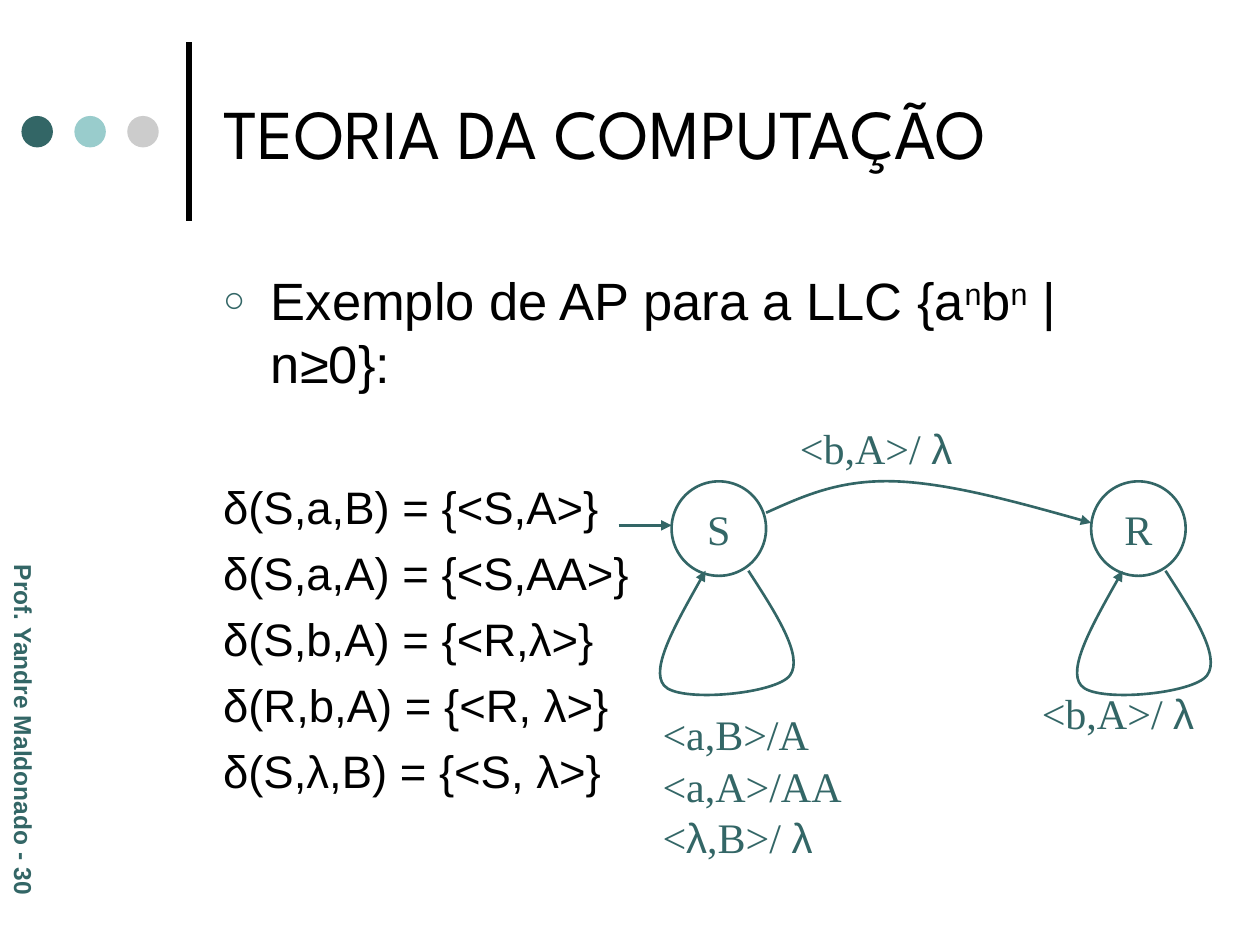
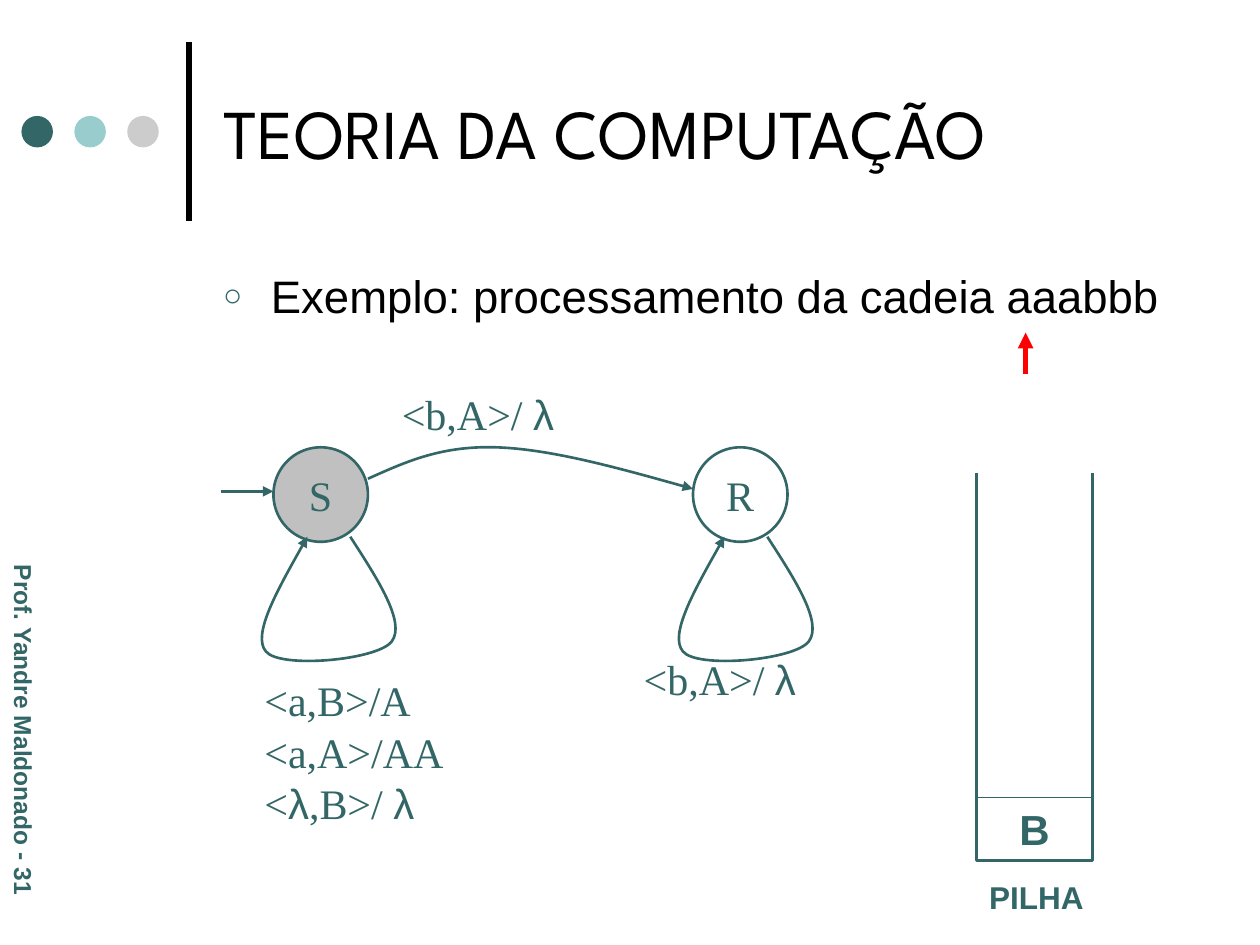
import dataclasses

import lxml.etree
import pptx
import pptx.dml.color
import pptx.enum.shapes
import pptx.enum.text
import pptx.oxml.ns
import pptx.util

Inches = pptx.util.Inches
Pt = pptx.util.Pt
ALIGN = pptx.enum.text.PP_ALIGN
ANCHOR = pptx.enum.text.MSO_ANCHOR
SHAPE = pptx.enum.shapes.MSO_SHAPE

TEAL, AQUA, GRAY, SILVER = "336666", "99CCCC", "CCCCCC", "C0C0C0"
BLACK, RED = "000000", "FF0000"
TITLE = "TEORIA DA COMPUTAÇÃO"
AUTHOR = "Prof. Yandre Maldonado"


@dataclasses.dataclass(frozen=True)
class Style:
    font: str
    size: float
    color: str
    bold: bool = False


@dataclasses.dataclass(frozen=True)
class Label:
    x: float
    y: float
    high: float
    lines: tuple[tuple[str, ...], ...]


@dataclasses.dataclass(frozen=True)
class Item:
    texts: tuple[str, ...]
    size: float
    before: float
    dot: bool = False


HEAD = Style("League Spartan", 40, BLACK)
STATE = Style("Times New Roman", 24, TEAL)
FOOT = Style("Arial", 14, TEAL, True)
CELL = Style("Arial", 24, TEAL, True)
STACK = Style("Arial", 18, TEAL, True)

POP = ("<b,A>/ ", "λ")
LABELS = (
    Label(-0.17, 1.93, 1.12, (("<a,B>/A",), ("<a,A>/AA",), ("<", "λ", ",B>/ ", "λ"))),
    Label(0.92, -0.34, 0.3, (POP,)),
    Label(2.84, 1.76, 0.3, (POP,)),
)
EDGE = ((0.75, 0.25), (1.04, 0.12), (1.32, -0.01), (1.75, 0),
        (2.18, 0.01), (2.76, 0.17), (3.33, 0.33))
LOOP = ((0.61, 0.71), (0.83, 1.05), (1.05, 1.39), (0.94, 1.54),
        (0.83, 1.69), (0.05, 1.76), (-0.06, 1.62),
        (-0.17, 1.49), (0.05, 1.1), (0.27, 0.71))
STEP = 3.33

RULES = ("δ(S,a,B) = {<S,A>}", "δ(S,a,A) = {<S,AA>}", "δ(S,b,A) = {<R,λ>}",
         "δ(R,b,A) = {<R, λ>}", "δ(S,λ,B) = {<S, λ>}")
GRAMMAR = (
    Item(("Exemplo de AP para a LLC {a", "n", "b", "n", " | n≥0}:"), 30, 7.5, True),
    *(Item((rule,), 26, 6.5 if i else 48.5) for i, rule in enumerate(RULES)),
)
INPUT = (Item(("Exemplo: processamento da cadeia aaabbb",), 26, 6.5, True),)


def rgb(code: str) -> pptx.dml.color.RGBColor:
    return pptx.dml.color.RGBColor.from_string(code)


def node(parent, tag: str, **attrs: str):
    return lxml.etree.SubElement(parent, pptx.oxml.ns.qn(tag), attrs)


def write(par, texts: tuple[str, ...], style: Style) -> list:
    par.text = texts[0]
    for text in texts[1:]:
        par.add_run().text = text
    for run in par.runs:
        run.font.name = style.font
        run.font.size = Pt(style.size)
        run.font.bold = style.bold
        run.font.color.rgb = rgb(style.color)
    return par.runs[1::2]


def place(shape, x: float, y: float, wide: float, high: float) -> None:
    shape.left, shape.top = Inches(x), Inches(y)
    shape.width, shape.height = Inches(wide), Inches(high)


def stroke(shape, color: str, width: float, arrow: bool = False) -> None:
    shape.line.color.rgb = rgb(color)
    shape.line.width = Pt(width)
    if arrow:
        node(shape.line._get_or_add_ln(), "a:tailEnd", type="triangle")


def add_line(slide, x1: float, y1: float, x2: float, y2: float,
             color: str, width: float, arrow: bool = False) -> None:
    line = slide.shapes.add_connector(
        pptx.enum.shapes.MSO_CONNECTOR.STRAIGHT,
        Inches(x1), Inches(y1), Inches(x2), Inches(y2))
    stroke(line, color, width, arrow)
    node(line._element.spPr, "a:effectLst")


def add_form(slide, kind, x: float, y: float, wide: float, high: float, fill: str = ""):
    form = slide.shapes.add_shape(kind, Inches(x), Inches(y), Inches(wide), Inches(high))
    form.shadow.inherit = False
    if fill:
        form.fill.solid()
        form.fill.fore_color.rgb = rgb(fill)
    else:
        form.fill.background()
    form.line.fill.background()
    return form


def caption(form, text: str, style: Style) -> None:
    frame = form.text_frame
    frame.margin_left = frame.margin_right = 0
    frame.vertical_anchor = ANCHOR.MIDDLE
    write(frame.paragraphs[0], (text,), style)
    frame.paragraphs[0].alignment = ALIGN.CENTER


def add_box(slide, x: float, y: float, wide: float, high: float):
    box = slide.shapes.add_textbox(Inches(x), Inches(y), Inches(wide), Inches(high))
    box.text_frame.word_wrap = True
    return box


def add_path(slide, points, x: float = 0, y: float = 0):
    spots = [(Inches(x + dx), Inches(y + dy)) for dx, dy in points]
    maker = slide.shapes.build_freeform(*spots[0])
    maker.add_line_segments(spots[1:], close=False)
    form = maker.convert_to_shape()
    form.fill.background()
    form.shadow.inherit = False
    return form


def add_curve(slide, points, x: float, y: float) -> None:
    form = add_path(slide, points, x, y)
    sides = form._element.xpath(".//a:lnTo")
    trace = sides[0].getparent()
    for i in range(0, len(sides), 3):
        bend = node(trace, "a:cubicBezTo")
        for side in sides[i:i + 3]:
            bend.append(side[0])
            trace.remove(side)
    stroke(form, TEAL, 1.5, True)


def add_graph(slide, x: float, y: float, active: str = "") -> None:
    for i, name in enumerate("SR"):
        state = add_form(slide, SHAPE.OVAL, x + i * STEP, y, 0.75, 0.75,
                         SILVER if name == active else "")
        stroke(state, TEAL, 1.5)
        caption(state, name, STATE)
        add_curve(slide, LOOP, x + i * 3.31, y)
    add_curve(slide, EDGE, x, y)
    add_line(slide, x - 0.42, y + 0.35, x, y + 0.35, TEAL, 1.5, True)
    for label in LABELS:
        frame = add_box(slide, x + label.x, y + label.y, 1.75, label.high).text_frame
        for i, texts in enumerate(label.lines):
            par = frame.add_paragraph() if i else frame.paragraphs[0]
            par.line_spacing = 0.5
            par.space_before = Pt(15)
            for run in write(par, texts, STATE):
                run.font.name = "Arial"


def add_list(body, items: tuple[Item, ...]) -> None:
    place(body, 1.67, 2.08, 7.67, 4.5)
    frame = body.text_frame
    frame.auto_size = pptx.enum.text.MSO_AUTO_SIZE.NONE
    for i, item in enumerate(items):
        par = frame.add_paragraph() if i else frame.paragraphs[0]
        for run in write(par, item.texts, Style("Arial", item.size, BLACK)):
            run._r.get_or_add_rPr().set("baseline", "30000")
        par.space_before = Pt(item.before)
        props = par._p.get_or_add_pPr()
        props.set("marL", str(Inches(0.38)))
        props.set("indent", str(-Inches(0.38)))
        if item.dot:
            node(node(props, "a:buClr"), "a:srgbClr", val=TEAL)
            node(props, "a:buSzPct", val="70000")
            node(props, "a:buFont", typeface="Arial")
            node(props, "a:buChar", char="○")
        else:
            node(props, "a:buNone")


def add_slide(deck, number: int, items: tuple[Item, ...]):
    slide = deck.slides.add_slide(deck.slide_layouts[1])
    add_line(slide, 1.5, 1.75, 1.5, 0.33, BLACK, 3)
    for i, color in enumerate((TEAL, AQUA, GRAY)):
        add_form(slide, SHAPE.OVAL, 0.17 + 0.42 * i, 0.92, 0.25, 0.25, color)
    title = slide.shapes.title
    place(title, 1.67, 0.21, 7.67, 1.67)
    title.text_frame.auto_size = pptx.enum.text.MSO_AUTO_SIZE.NONE
    title.text_frame.vertical_anchor = ANCHOR.MIDDLE
    write(title.text_frame.paragraphs[0], (TITLE,), HEAD)
    title.text_frame.paragraphs[0].alignment = ALIGN.LEFT
    add_list(slide.placeholders[1], items)
    foot = add_box(slide, -1.35, 5.75, 3.07, 0.34)
    foot.rotation = 90
    write(foot.text_frame.paragraphs[0], (f"{AUTHOR} - {number}",), FOOT)
    return slide


def add_stack(slide, x: float, top: float, base: float) -> None:
    wide, high = 0.92, 0.5
    walls = add_path(slide, ((x, top), (x, base), (x + wide, base), (x + wide, top)))
    stroke(walls, TEAL, 1.25)
    cell = add_form(slide, SHAPE.RECTANGLE, x, base - high, wide, high)
    stroke(cell, TEAL, 0.75)
    caption(cell, "B", CELL)
    name = add_box(slide, x, base + 0.09, 0.95, 0.4)
    name.text_frame.word_wrap = False
    write(name.text_frame.paragraphs[0], ("PILHA",), STACK)
    name.text_frame.paragraphs[0].alignment = ALIGN.CENTER


def main() -> None:
    deck = pptx.Presentation()
    deck.slide_width, deck.slide_height = Inches(10), Inches(7.5)
    first = add_slide(deck, 30, GRAMMAR)
    add_graph(first, 5.33, 3.82)
    second = add_slide(deck, 31, INPUT)
    add_line(second, 8.14, 2.97, 8.14, 2.64, RED, 3, True)
    add_graph(second, 2.17, 3.55, "S")
    add_stack(second, 7.75, 3.75, 6.83)
    deck.save("out.pptx")


if __name__ == "__main__":
    main()
